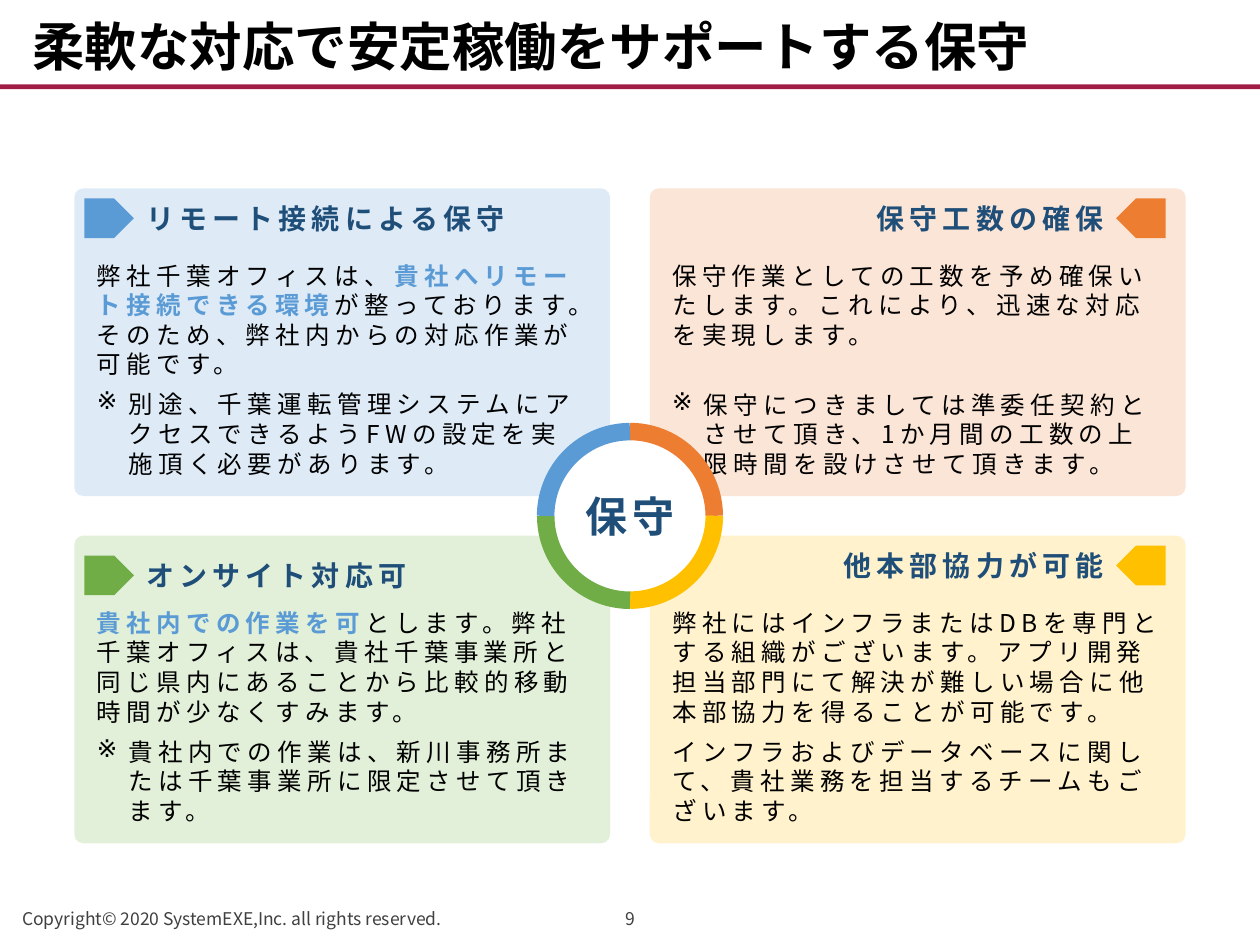
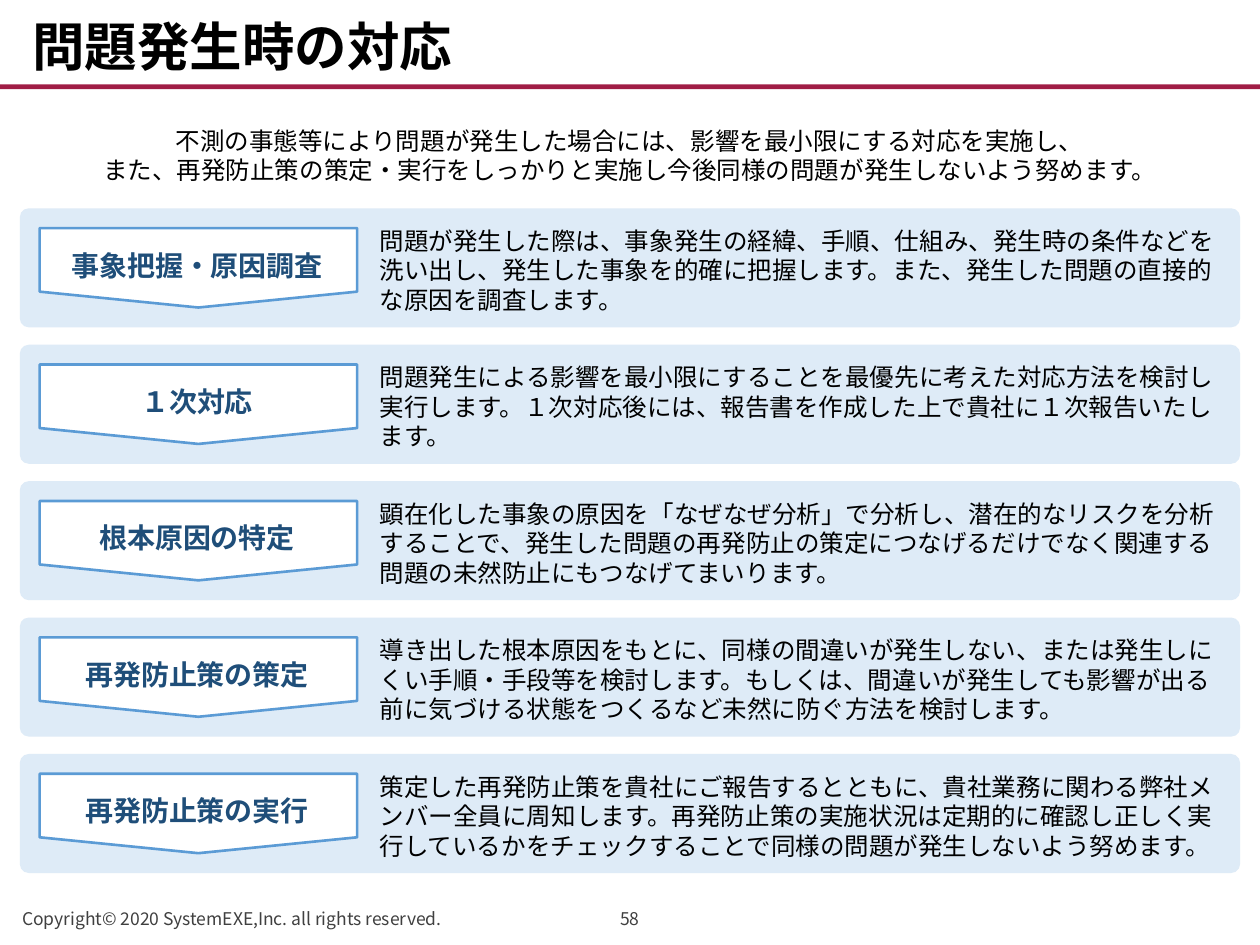
from dataclasses import dataclass

from lxml import etree
from pptx import Presentation
from pptx.dml.color import RGBColor
from pptx.enum.lang import MSO_LANGUAGE_ID
from pptx.enum.shapes import MSO_SHAPE
from pptx.enum.text import MSO_ANCHOR, PP_ALIGN
from pptx.oxml.ns import qn
from pptx.util import Cm, Pt

RECT = MSO_SHAPE.RECTANGLE
ROUNDED = MSO_SHAPE.ROUNDED_RECTANGLE
PENTAGON = MSO_SHAPE.PENTAGON
ARC = MSO_SHAPE.ARC
STEP_TAG = MSO_SHAPE.FLOWCHART_OFFPAGE_CONNECTOR
LEFT, CENTER, RIGHT = PP_ALIGN.LEFT, PP_ALIGN.CENTER, PP_ALIGN.RIGHT
TOP, MIDDLE, BOTTOM = MSO_ANCHOR.TOP, MSO_ANCHOR.MIDDLE, MSO_ANCHOR.BOTTOM
JAPANESE = MSO_LANGUAGE_ID.JAPANESE

FONT = "Noto Sans CJK JP"
BLACK = RGBColor(0x00, 0x00, 0x00)
WHITE = RGBColor(0xFF, 0xFF, 0xFF)
CRIMSON = RGBColor(0xA0, 0x1D, 0x45)
GRAY = RGBColor(0x40, 0x40, 0x40)
NAVY = RGBColor(0x1F, 0x4E, 0x79)
BLUE = RGBColor(0x5B, 0x9B, 0xD5)
ORANGE = RGBColor(0xED, 0x7D, 0x31)
GREEN = RGBColor(0x70, 0xAD, 0x47)
YELLOW = RGBColor(0xFF, 0xC0, 0x00)
PALE_BLUE = RGBColor(0xDE, 0xEB, 0xF7)
PALE_ORANGE = RGBColor(0xFB, 0xE5, 0xD6)
PALE_GREEN = RGBColor(0xE2, 0xF0, 0xD9)
PALE_YELLOW = RGBColor(0xFF, 0xF2, 0xCC)

DEFAULT_INSETS = (0.25, 0.13, 0.25, 0.13)
BODY_LINE = Pt(16.9)
COPYRIGHT = "Copyright© 2020 SystemEXE,Inc. all rights reserved."


@dataclass
class Style:
    size: float
    color: RGBColor = BLACK
    bold: bool = False
    tracking: int = 0
    line_spacing: float = None


TITLE = Style(30, bold=True, line_spacing=0.9)
FOOTER = Style(10, GRAY)
PANEL_BODY = Style(14, tracking=300, line_spacing=BODY_LINE)
PANEL_HEADING = Style(16, NAVY, True, 300)
HUB = Style(24, NAVY, True, 300)
STEP_BODY = Style(14, line_spacing=BODY_LINE)
STEP_HEADING = Style(16, NAVY, True)


@dataclass
class Para:
    runs: list
    note: bool = False
    before: float = 0


@dataclass
class Panel:
    heading: str
    accent: RGBColor
    tint: RGBColor
    paragraphs: list
    heading_drop: float = 0.2


PANELS = [
    [
        Panel("リモート接続による保守", BLUE, PALE_BLUE, [
            Para([("弊社千葉オフィスは、", False),
                  ("貴社へリモート接続できる環境", True),
                  ("が整っております。そのため、弊社内からの対応作業が可能です。", False)]),
            Para([("別途、千葉運転管理システムにアクセスできるようFWの設定を実施頂く必要があります。", False)],
                 True, 6),
        ]),
        Panel("保守工数の確保", ORANGE, PALE_ORANGE, [
            Para([("保守作業としての工数を予め確保いたします。これにより、迅速な対応を実現します。", False)]),
            Para([("保守につきましては準委任契約とさせて頂き、1か月間の工数の上限時間を設けさせて頂きます。", False)],
                 True, 23),
        ]),
    ],
    [
        Panel("オンサイト対応可", GREEN, PALE_GREEN, [
            Para([("貴社内での作業を可", True),
                  ("とします。弊社千葉オフィスは、貴社千葉事業所と同じ県内にあることから比較的移動時間が少なくすみます。", False)]),
            Para([("貴社内での作業は、新川事務所または千葉事業所に限定させて頂きます。", False)], True, 6),
        ], heading_drop=0.4),
        Panel("他本部協力が可能", YELLOW, PALE_YELLOW, [
            Para([("弊社にはインフラまたはDBを専門とする組織がございます。アプリ開発担当部門にて解決が難しい場合に他本部協力を得ることが可能です。", False)]),
            Para([("インフラおよびデータベースに関して、貴社業務を担当するチームもございます。", False)], before=6),
        ]),
    ],
]

INTRO = [
    "不測の事態等により問題が発生した場合には、影響を最小限にする対応を実施し、",
    "また、再発防止策の策定・実行をしっかりと実施し今後同様の問題が発生しないよう努めます。",
]
STEPS = [
    ("事象把握・原因調査",
     "問題が発生した際は、事象発生の経緯、手順、仕組み、発生時の条件などを洗い出し、発生した事象を的確に把握します。また、発生した問題の直接的な原因を調査します。"),
    ("１次対応",
     "問題発生による影響を最小限にすることを最優先に考えた対応方法を検討し実行します。１次対応後には、報告書を作成した上で貴社に１次報告いたします。"),
    ("根本原因の特定",
     "顕在化した事象の原因を「なぜなぜ分析」で分析し、潜在的なリスクを分析することで、発生した問題の再発防止の策定につなげるだけでなく関連する問題の未然防止にもつなげてまいります。"),
    ("再発防止策の策定",
     "導き出した根本原因をもとに、同様の間違いが発生しない、または発生しにくい手順・手段等を検討します。もしくは、間違いが発生しても影響が出る前に気づける状態をつくるなど未然に防ぐ方法を検討します。"),
    ("再発防止策の実行",
     "策定した再発防止策を貴社にご報告するとともに、貴社業務に関わる弊社メンバー全員に周知します。再発防止策の実施状況は定期的に確認し正しく実行しているかをチェックすることで同様の問題が発生しないよう努めます。"),
]


def format_run(run, style, emphasised=False):
    run.font.size = Pt(style.size)
    run.font.bold = style.bold or emphasised
    run.font.color.rgb = BLUE if emphasised else style.color
    run.font.name = FONT
    run.font.language_id = JAPANESE
    properties = run.font._element
    if style.tracking:
        properties.set("spc", str(style.tracking))
    etree.SubElement(properties, qn("a:ea")).set("typeface", FONT)


def mark_as_note(paragraph):
    properties = paragraph._p.get_or_add_pPr()
    properties.set("marL", str(Cm(0.64)))
    properties.set("indent", str(-Cm(0.64)))
    etree.SubElement(properties, qn("a:buChar")).set("char", "※")


def write(frame, content, style, align=LEFT, anchor=TOP, insets=DEFAULT_INSETS):
    if isinstance(content, str):
        content = [Para([(content, False)])]
    frame.word_wrap = True
    frame.vertical_anchor = anchor
    (frame.margin_left, frame.margin_top,
     frame.margin_right, frame.margin_bottom) = map(Cm, insets)
    for index, item in enumerate(content):
        paragraph = frame.add_paragraph() if index else frame.paragraphs[0]
        if item.note:
            mark_as_note(paragraph)
        paragraph.alignment = align
        paragraph.space_before = Pt(item.before)
        if style.line_spacing:
            paragraph.line_spacing = style.line_spacing
        for text, emphasised in item.runs:
            run = paragraph.add_run()
            run.text = text
            format_run(run, style, emphasised)


def add_label(shapes, box, content, style, align=LEFT, anchor=TOP):
    label = shapes.add_textbox(*map(Cm, box))
    write(label.text_frame, content, style, align, anchor)


def add_block(shapes, kind, box, fill, line=None, line_width=0, rotation=0):
    block = shapes.add_shape(kind, *map(Cm, box))
    block.shadow.inherit = False
    block.fill.solid()
    block.fill.fore_color.rgb = fill
    block.rotation = rotation
    if line is None:
        block.line.fill.background()
    else:
        block.line.color.rgb = line
        block.line.width = Pt(line_width)
    return block


def add_card(shapes, box, fill, corner):
    card = add_block(shapes, ROUNDED, box, fill)
    card.adjustments[0] = corner / min(box[2:])
    return card


def add_page(deck, title, number):
    shapes = deck.slides.add_slide(deck.slide_layouts[6]).shapes
    add_block(shapes, RECT, (0, 1.7, 25.4, 0.1), CRIMSON)
    add_label(shapes, (0.4, 0.1, 24.6, 1.6), title, TITLE, anchor=BOTTOM)
    add_label(shapes, (0.2, 18.05, 10.8, 0.8), COPYRIGHT, FOOTER, anchor=BOTTOM)
    add_label(shapes, (11.7, 18.05, 2, 0.8), str(number), FOOTER, CENTER, BOTTOM)
    return shapes


def add_panel(shapes, panel, left, top, mirrored):
    group = shapes.add_group_shape().shapes
    card = add_card(group, (left, top, 10.8, 6.2), panel.tint, 0.18)
    write(card.text_frame, panel.paragraphs, PANEL_BODY, insets=(0.4, 1.4, 0.4, 0.1))
    heading_top = top + panel.heading_drop
    pointer_left = left + (9.4 if mirrored else 0.2)
    heading_left = left + (0 if mirrored else 1.2)
    add_block(group, PENTAGON, (pointer_left, heading_top, 1, 0.8), panel.accent,
              rotation=180 if mirrored else 0)
    add_label(group, (heading_left, heading_top, 9.4, 0.8), panel.heading,
              PANEL_HEADING, RIGHT if mirrored else LEFT, MIDDLE)


def add_hub(shapes, caption):
    group = shapes.add_group_shape().shapes
    for quarter, color in enumerate((ORANGE, YELLOW, GREEN, BLUE)):
        add_block(group, ARC, (11, 8.7, 3.4, 3.4), WHITE, color, 10, quarter * 90)
    add_label(group, (11.2, 9.6, 3, 1.6), caption, HUB, CENTER, MIDDLE)


def add_step(shapes, heading, description, top):
    group = shapes.add_group_shape().shapes
    card = add_card(group, (0.4, top, 24.6, 2.4), PALE_BLUE, 0.18)
    write(card.text_frame, description, STEP_BODY, insets=(7.2, 0.3, 0.3, 0.3))
    tag = add_block(group, STEP_TAG, (0.8, top + 0.4, 6.4, 1.6), WHITE, BLUE, 1.5)
    write(tag.text_frame, heading, STEP_HEADING, CENTER, MIDDLE, (0.25, 0.5, 0.3, 0.3))


def build_maintenance(deck):
    shapes = add_page(deck, "柔軟な対応で安定稼働をサポートする保守", 9)
    for row, panels in enumerate(PANELS):
        for column, panel in enumerate(panels):
            add_panel(shapes, panel, 1.5 + column * 11.6, 3.8 + row * 7, column == 1)
    add_hub(shapes, "保守")


def build_incident_response(deck):
    shapes = add_page(deck, "問題発生時の対応", 58)
    intro = [Para([(line, False)]) for line in INTRO]
    add_label(shapes, (0.4, 2.4, 24.6, 1.5), intro, STEP_BODY, CENTER)
    for index, (heading, description) in enumerate(STEPS):
        add_step(shapes, heading, description, 4.2 + index * 2.75)


def main():
    deck = Presentation()
    deck.slide_width, deck.slide_height = Cm(25.4), Cm(19.05)
    build_maintenance(deck)
    build_incident_response(deck)
    deck.save("out.pptx")


if __name__ == "__main__":
    main()
